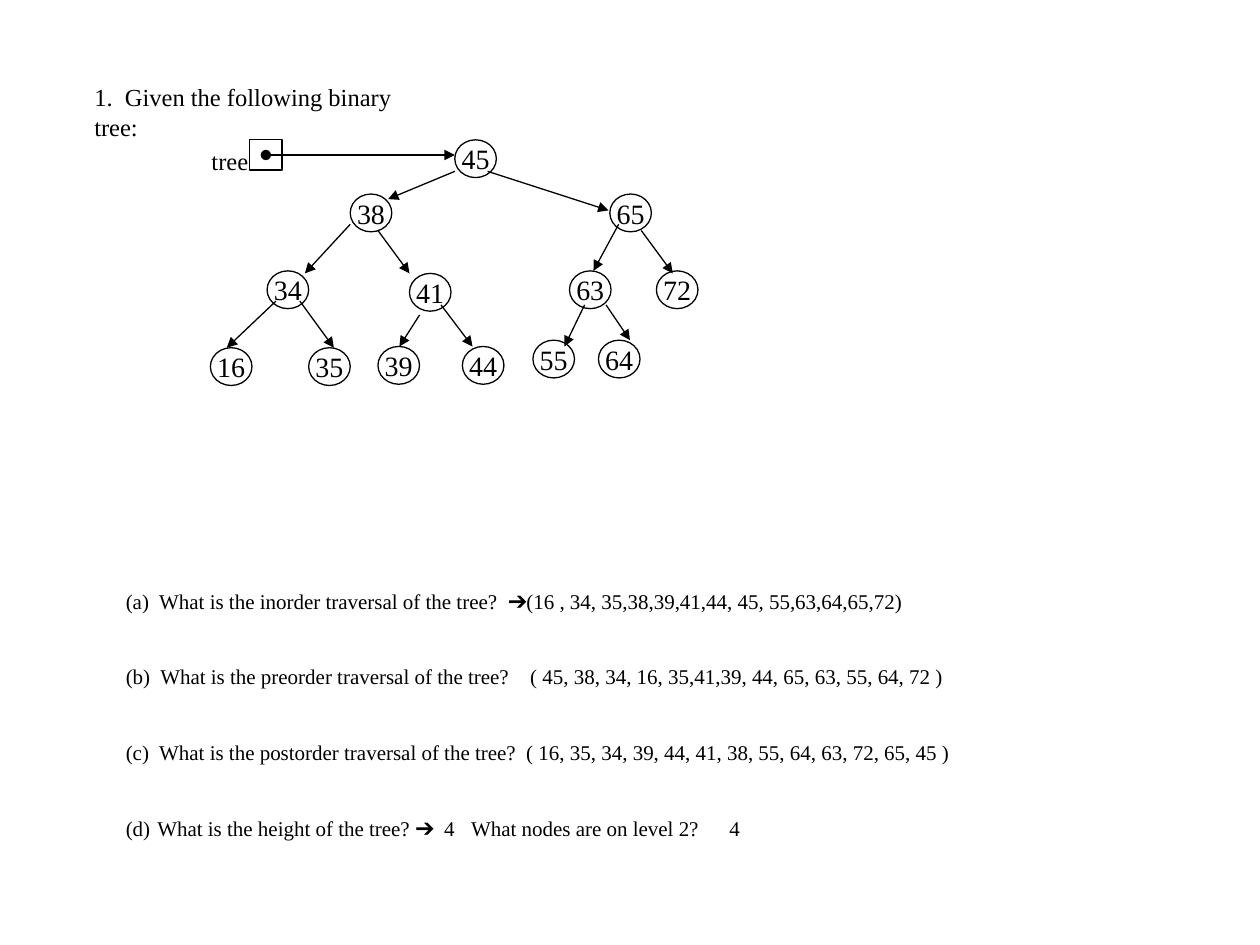
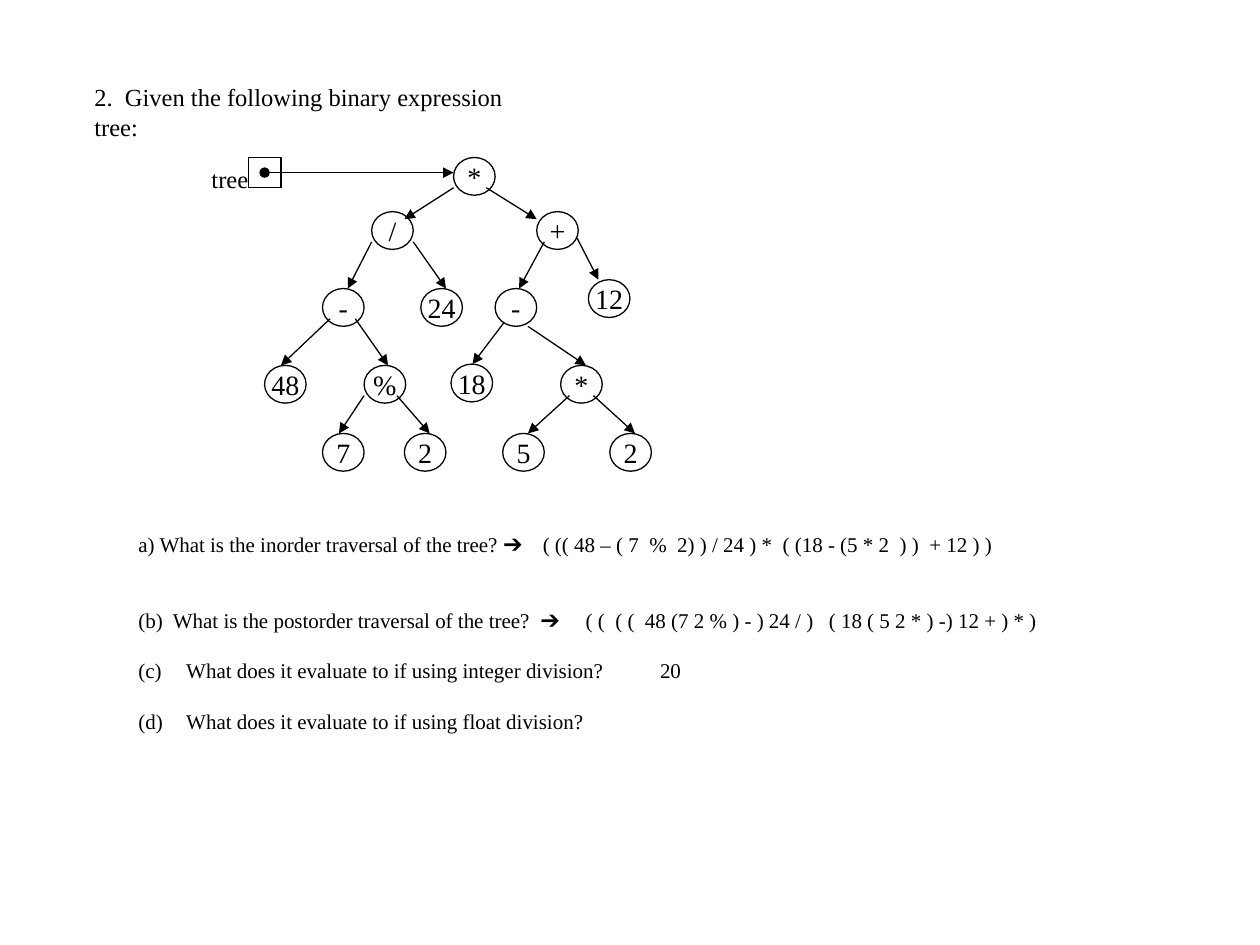
"""Two binary-tree exercises, each with a tree diagram and its questions."""
from dataclasses import dataclass

import pptx
import pptx.dml.color
import pptx.enum.shapes
import pptx.enum.text
import pptx.oxml
import pptx.oxml.ns
import pptx.util

Inches, Pt = pptx.util.Inches, pptx.util.Pt
SHAPE = pptx.enum.shapes.MSO_SHAPE
ALIGN = pptx.enum.text.PP_ALIGN
ANCHOR = pptx.enum.text.MSO_ANCHOR

COLORS = {"ink": "000000"}
FONT = "Times New Roman"
LINE_WIDTH = 0.75
NODE_W, NODE_H = 0.33, 0.3
BOX_W, BOX_H = 0.26, 0.24
POINTER_LEN = 1.5
TITLE_LINE, QUESTION_LINE = 17.1, 14.4  # line pitch in points


@dataclass
class Node:
    """A tree node and the arrow (x1, y1, x2, y2) that leads to it."""
    text: str
    x: float
    y: float
    edge: tuple[float, float, float, float] | None = None


@dataclass
class Question:
    """A question line, the line gaps before it, and its tab stops in inches."""
    text: str
    gap: int = 0
    tabs: tuple[float, ...] = ()


@dataclass
class Exercise:
    """The content of one slide; the first node is the root."""
    title: str
    title_w: float
    nodes: list[Node]
    questions_at: tuple[float, float, float, float]
    questions: list[Question]


def ink() -> pptx.dml.color.RGBColor:
    """Return the colour of all text and lines."""
    return pptx.dml.color.RGBColor.from_string(COLORS["ink"])


def write(p, text: str, *, size: float, align=ALIGN.LEFT, pitch: float | None = None,
          before: float = 0, tabs: tuple[float, ...] = ()) -> None:
    """Write formatted text into a paragraph."""
    p.alignment = align
    p.space_before = Pt(before)
    if pitch:
        p.line_spacing = Pt(pitch)
    if tabs:
        stops = pptx.oxml.parse_xml(f"<a:tabLst {pptx.oxml.ns.nsdecls('a')}/>")
        for pos in tabs:
            tab = stops.makeelement(pptx.oxml.ns.qn("a:tab"),
                                    {"pos": str(int(Inches(pos))), "algn": "l"})
            stops.append(tab)
        p._p.get_or_add_pPr().append(stops)
    r = p.add_run()
    r.text = text
    r.font.name, r.font.size = FONT, Pt(size)
    r.font.color.rgb = ink()


def text_box(s, x: float, y: float, w: float, h: float, wrap: bool = True):
    """Add an empty text box and return its text frame."""
    tf = s.shapes.add_textbox(Inches(x), Inches(y), Inches(w), Inches(h)).text_frame
    tf.word_wrap = wrap
    return tf


def outline(s, kind, x: float, y: float, w: float, h: float):
    """Add an unfilled shape with a thin outline."""
    sp = s.shapes.add_shape(kind, Inches(x), Inches(y), Inches(w), Inches(h))
    sp.shadow.inherit = False
    sp.fill.background()
    sp.line.color.rgb, sp.line.width = ink(), Pt(LINE_WIDTH)
    return sp


def arrow(s, x1: float, y1: float, x2: float, y2: float, dot: bool = False) -> None:
    """Draw an arrow, with a dot at its start if asked."""
    c = s.shapes.add_connector(pptx.enum.shapes.MSO_CONNECTOR.STRAIGHT,
                               Inches(x1), Inches(y1), Inches(x2), Inches(y2))
    c.line.color.rgb, c.line.width = ink(), Pt(LINE_WIDTH)
    ns = pptx.oxml.ns.nsdecls("a")
    ln = c.line._get_or_add_ln()
    if dot:
        ln.append(pptx.oxml.parse_xml(f'<a:headEnd {ns} type="oval"/>'))
    ln.append(pptx.oxml.parse_xml(f'<a:tailEnd {ns} type="triangle"/>'))
    c._element.spPr.append(pptx.oxml.parse_xml(f"<a:effectLst {ns}/>"))


def draw_node(s, node: Node) -> None:
    """Draw a labelled circle and its incoming arrow."""
    tf = outline(s, SHAPE.OVAL, node.x, node.y, NODE_W, NODE_H).text_frame
    tf.margin_left = tf.margin_right = tf.margin_top = tf.margin_bottom = 0
    tf.word_wrap = False
    tf.vertical_anchor = ANCHOR.MIDDLE
    write(tf.paragraphs[0], node.text, size=16, align=ALIGN.CENTER)
    if node.edge:
        arrow(s, *node.edge)


def draw_pointer(s, root: Node) -> None:
    """Draw the 'tree' variable that points to the root."""
    start = root.x - POINTER_LEN
    mid = root.y + BOX_H / 2
    outline(s, SHAPE.RECTANGLE, start - BOX_W / 2, root.y, BOX_W, BOX_H)
    tf = text_box(s, 1.58, root.y, 0.49, 0.33, wrap=False)
    write(tf.paragraphs[0], "tree", size=14)
    arrow(s, start, mid, root.x, mid, dot=True)


def draw_exercise(prs, ex: Exercise) -> None:
    """Add one slide with title, tree and questions."""
    s = prs.slides.add_slide(prs.slide_layouts[6])
    tf = text_box(s, 0.65, 0.6, ex.title_w, 0.33)
    write(tf.paragraphs[0], ex.title, size=14, pitch=TITLE_LINE)
    tf = text_box(s, *ex.questions_at)
    for i, q in enumerate(ex.questions):
        p = tf.add_paragraph() if i else tf.paragraphs[0]
        write(p, q.text, size=12, pitch=QUESTION_LINE,
              before=q.gap * QUESTION_LINE, tabs=q.tabs)
    for node in ex.nodes:
        draw_node(s, node)
    draw_pointer(s, ex.nodes[0])


EXERCISES = [
    Exercise(
        "1.  Given the following binary tree:", 2.9,
        [
            Node("45", 3.61, 1.11),
            Node("38", 2.78, 1.54, (3.61, 1.36, 3.08, 1.58)),
            Node("65", 4.84, 1.54, (3.87, 1.36, 4.83, 1.67)),
            Node("34", 2.12, 2.15, (2.78, 1.78, 2.42, 2.17)),
            Node("41", 3.25, 2.17, (3.0, 1.83, 3.25, 2.17)),
            Node("63", 4.52, 2.15, (4.91, 1.78, 4.71, 2.15)),
            Node("72", 5.21, 2.15, (5.09, 1.83, 5.34, 2.17)),
            Node("16", 1.67, 2.76, (2.19, 2.39, 1.8, 2.76)),
            Node("35", 2.45, 2.76, (2.38, 2.39, 2.65, 2.76)),
            Node("39", 3.0, 2.75, (3.33, 2.5, 3.17, 2.75)),
            Node("44", 3.67, 2.75, (3.5, 2.42, 3.75, 2.75)),
            Node("55", 4.23, 2.7, (4.64, 2.42, 4.48, 2.75)),
            Node("64", 4.75, 2.7, (4.81, 2.42, 5.0, 2.7)),
        ],
        (0.9, 4.62, 8.35, 2.32),
        [
            Question("(a)  What is the inorder traversal of the tree?  "
                     "➔(16 , 34, 35,38,39,41,44, 45, 55,63,64,65,72)"),
            Question("(b)  What is the preorder traversal of the tree?\t"
                     "( 45, 38, 34, 16, 35,41,39, 44, 65, 63, 55, 64, 72 )", 2, (3.21,)),
            Question("(c)  What is the postorder traversal of the tree?  "
                     "( 16, 35, 34, 39, 44, 41, 38, 55, 64, 63, 72, 65, 45 )", 2),
            Question("(d)\tWhat is the height of the tree? ➔  4\t"
                     "What nodes are on level 2?\t4", 2, (0.25, 2.74, 4.79)),
        ],
    ),
    Exercise(
        "2.  Given the following binary expression tree:", 3.75,
        [
            Node("*", 3.6, 1.25),
            Node("/", 2.95, 1.68, (3.6, 1.49, 3.21, 1.74)),
            Node("+", 4.26, 1.68, (3.86, 1.49, 4.26, 1.74)),
            Node("-", 2.56, 2.29, (2.95, 1.92, 2.76, 2.29)),
            Node("24", 3.34, 2.29, (3.28, 1.92, 3.54, 2.29)),
            Node("-", 3.93, 2.29, (4.32, 1.92, 4.12, 2.29)),
            Node("12", 4.67, 2.22, (4.58, 1.89, 4.75, 2.22)),
            Node("48", 2.1, 2.9, (2.62, 2.53, 2.23, 2.9)),
            Node("%", 2.89, 2.9, (2.82, 2.53, 3.08, 2.9)),
            Node("18", 3.58, 2.89, (4.0, 2.56, 3.75, 2.89)),
            Node("*", 4.45, 2.9, (4.19, 2.59, 4.65, 2.9)),
            Node("7", 2.56, 3.44, (2.89, 3.14, 2.69, 3.44)),
            Node("2", 3.21, 3.44, (3.15, 3.14, 3.41, 3.44)),
            Node("5", 3.99, 3.44, (4.52, 3.14, 4.19, 3.44)),
            Node("2", 4.84, 3.44, (4.71, 3.14, 5.04, 3.44)),
        ],
        (1, 4.17, 7.83, 2.32),
        [
            Question("a) What is the inorder traversal of the tree? ➔\t"
                     "( (( 48 – ( 7  %  2) ) / 24 ) *  ( (18 - (5 * 2  ) )  + 12 ) )",
                     tabs=(3.21,)),
            Question("(b)  What is the postorder traversal of the tree?  ➔\t"
                     "( (  ( (  48 (7 2 % ) - ) 24 / )\t( 18 ( 5 2 * ) -) 12 + ) * )",
                     2, (3.55, 5.48)),
            Question("(c)\tWhat does it evaluate to if using integer division?\t20",
                     1, (0.38, 4.14)),
            Question("(d)\tWhat does it evaluate to if using float division?", 1, (0.38,)),
        ],
    ),
]


def main() -> None:
    """Build and save the presentation."""
    prs = pptx.Presentation()
    prs.slide_width, prs.slide_height = Inches(10), Inches(7.5)
    for ex in EXERCISES:
        draw_exercise(prs, ex)
    prs.save("out.pptx")


main()
